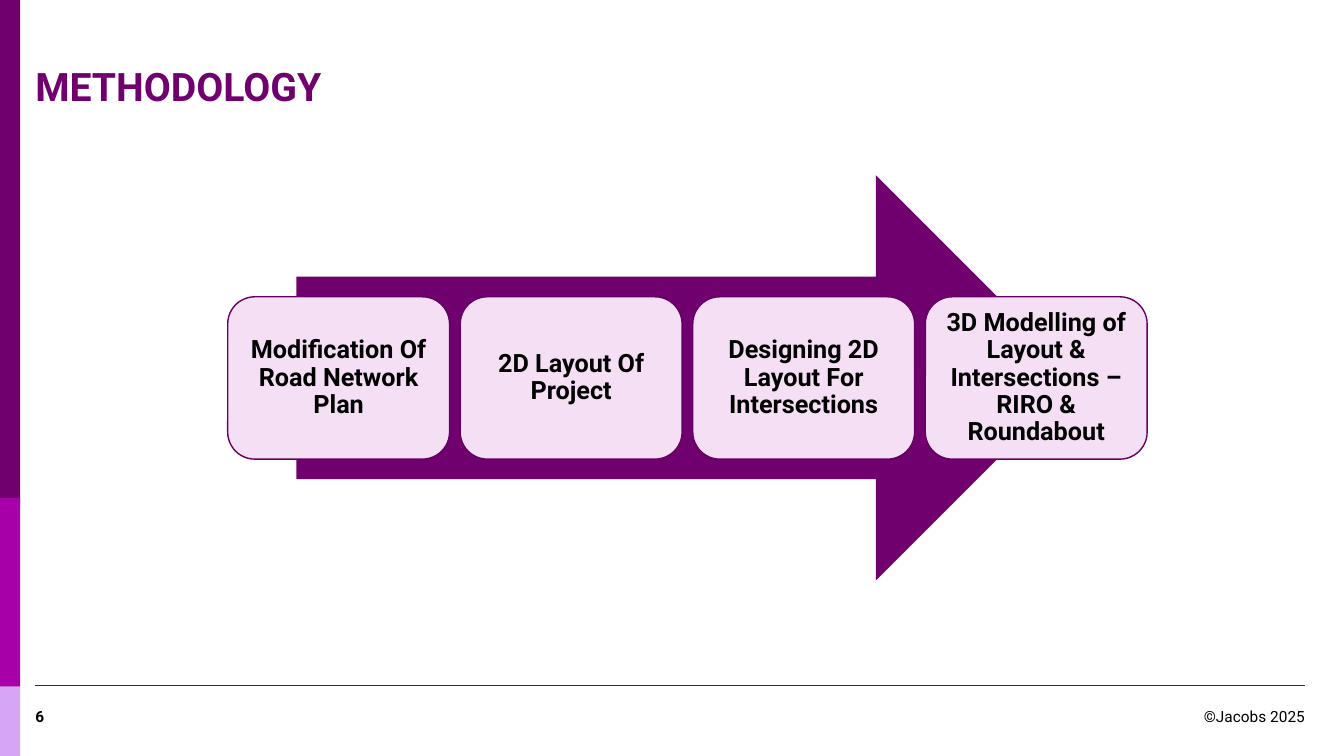
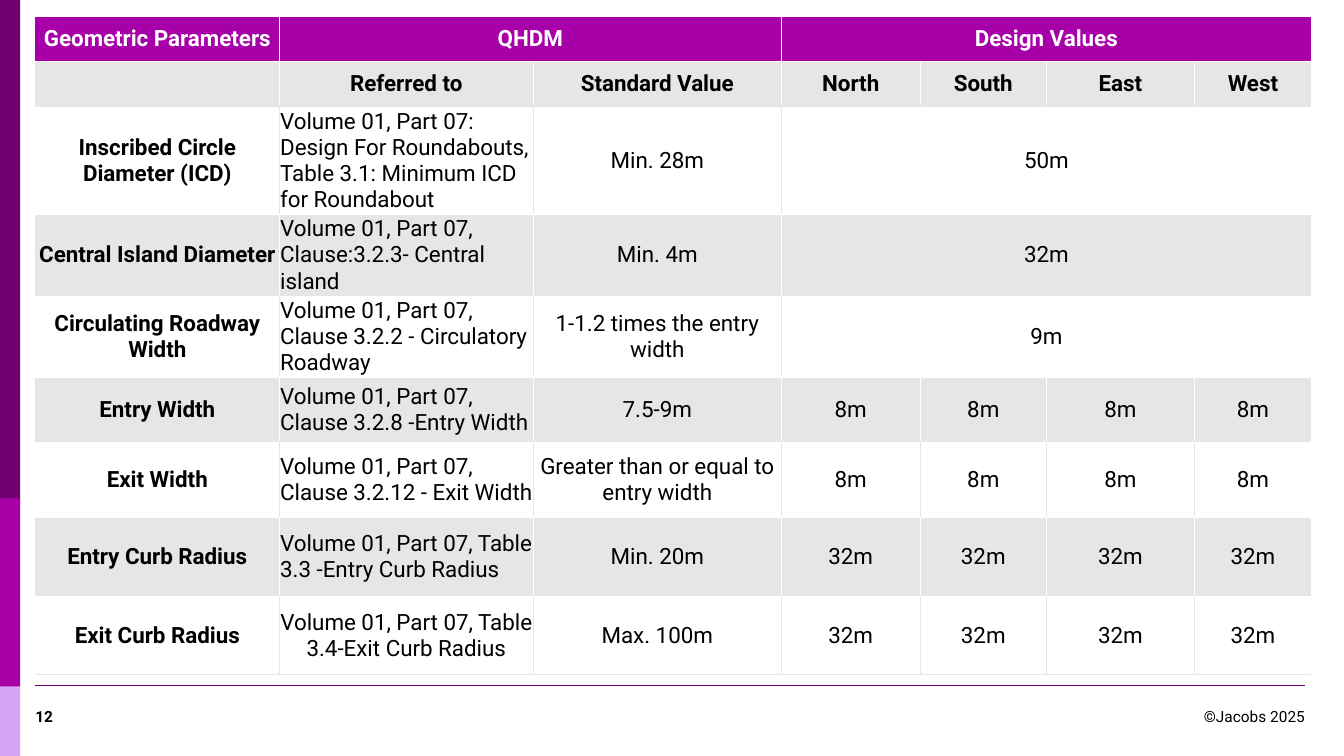
from dataclasses import dataclass

from lxml.etree import SubElement
from pptx import Presentation
from pptx.dml.color import RGBColor
from pptx.enum.shapes import MSO_CONNECTOR, MSO_SHAPE
from pptx.enum.text import MSO_ANCHOR, PP_ALIGN
from pptx.oxml.ns import qn
from pptx.util import Cm, Pt


@dataclass(frozen=True)
class Theme:
    font: str = "Roboto"
    plum: str = "6F006E"
    magenta: str = "A800A8"
    lilac: str = "D7A5F5"
    blush: str = "F5DFF5"
    outline: str = "650064"
    grey: str = "E6E6E6"
    white: str = "FFFFFF"
    black: str = "000000"
    title_size: int = 28
    step_size: int = 18
    table_size: int = 16
    footer_size: int = 11


THEME = Theme()
LEFT, CONTENT_WIDTH = 0.89, 32

STEPS = [
    "Modification Of Road Network Plan",
    "2D Layout Of Project",
    "Designing 2D Layout For Intersections",
    "3D Modelling of Layout & Intersections – RIRO & Roundabout",
]

# None continues the cell on its left
PARAMETERS = [
    ["Geometric Parameters", "QHDM", None, "Design Values", None, None, None],
    ["", "Referred to", "Standard Value", "North", "South", "East", "West"],
    ["Inscribed Circle Diameter (ICD)",
     "Volume 01, Part 07: Design For Roundabouts, Table 3.1: Minimum ICD for Roundabout",
     "Min. 28m", "50m", None, None, None],
    ["Central Island Diameter", "Volume 01, Part 07, Clause:3.2.3- Central island",
     "Min. 4m", "32m", None, None, None],
    ["Circulating Roadway Width", "Volume 01, Part 07, Clause 3.2.2 - Circulatory Roadway",
     "1-1.2 times the entry width", "9m", None, None, None],
    ["Entry Width", "Volume 01, Part 07, Clause 3.2.8 -Entry Width",
     "7.5-9m"] + ["8m"] * 4,
    ["Exit Width", "Volume 01, Part 07, Clause 3.2.12 - Exit Width",
     "Greater than or equal to entry width"] + ["8m"] * 4,
    ["Entry Curb Radius", "Volume 01, Part 07, Table 3.3 -Entry Curb Radius",
     "Min. 20m"] + ["32m"] * 4,
    ["Exit Curb Radius", "Volume 01, Part 07, Table 3.4-Exit Curb Radius",
     "Max. 100m"] + ["32m"] * 4,
]
COLUMN_WIDTHS = [6.15, 6.4, 6.25, 3.5, 3.18, 3.73, 2.95]
ROW_HEIGHTS = [1.14, 1.12, 2.69, 1.98, 1.98, 1.63, 1.9, 1.98, 1.98]


def rgb(color):
    return RGBColor.from_string(color)


def write(frame, text, size, color=THEME.black, bold=False, align=PP_ALIGN.LEFT,
          anchor=MSO_ANCHOR.MIDDLE, inset=0, line_spacing=None):
    frame.word_wrap = True
    frame.vertical_anchor = anchor
    frame.margin_left = frame.margin_right = Cm(inset)
    frame.margin_top = frame.margin_bottom = Cm(inset)
    style_paragraph(frame, text, size, color, bold, align, line_spacing)


def style_paragraph(frame, text, size, color, bold, align, line_spacing=None):
    frame.text = text
    paragraph = frame.paragraphs[0]
    paragraph.alignment = align
    if line_spacing:
        paragraph.line_spacing = line_spacing
    font = paragraph.font
    font.name, font.size, font.bold = THEME.font, Pt(size), bold
    font.color.rgb = rgb(color)


def add_block(slide, preset, left, top, width, height, fill, line=None):
    block = slide.shapes.add_shape(preset, Cm(left), Cm(top), Cm(width), Cm(height))
    block.shadow.inherit = False
    block.fill.solid()
    block.fill.fore_color.rgb = rgb(fill)
    if line:
        block.line.color.rgb = rgb(line)
        block.line.width = Pt(1)
    else:
        block.line.fill.background()
    return block


def add_footer_text(slide, left, width, text, **style):
    footer = slide.shapes.add_textbox(Cm(left), Cm(17.53), Cm(width), Cm(0.76))
    write(footer.text_frame, text, THEME.footer_size, anchor=MSO_ANCHOR.BOTTOM, **style)


def add_frame(slide, number):
    """Side band, footer rule, page number and copyright."""
    for top, height, color in [(17.25, 1.8, THEME.lilac), (0, 12.7, THEME.plum),
                               (12.55, 4.75, THEME.magenta)]:
        add_block(slide, MSO_SHAPE.RECTANGLE, 0, top, 0.51, height, color)
    rule = slide.shapes.add_connector(MSO_CONNECTOR.STRAIGHT, Cm(LEFT), Cm(17.27),
                                      Cm(LEFT + CONTENT_WIDTH), Cm(17.27))
    rule.line.color.rgb = rgb(THEME.plum)
    rule.line.width = Pt(0.5)
    SubElement(rule.line._get_or_add_ln().getparent(), qn("a:effectLst"))
    add_footer_text(slide, LEFT, 2.16, str(number), bold=True)
    add_footer_text(slide, 25.78, 7.11, "©Jacobs 2025", align=PP_ALIGN.RIGHT)


def set_title(slide, text):
    title = slide.shapes.title
    title.left, title.top = Cm(LEFT), Cm(1.35)
    title.width, title.height = Cm(CONTENT_WIDTH), Cm(1.78)
    write(title.text_frame, text, THEME.title_size, THEME.plum, bold=True, line_spacing=0.9)


def add_process(slide, steps):
    add_block(slide, MSO_SHAPE.RIGHT_ARROW, 7.47, 4.42, 19.71, 10.21, THEME.plum)
    step_width, gap = 5.59, 0.27
    for index, step in enumerate(steps):
        box = add_block(slide, MSO_SHAPE.ROUNDED_RECTANGLE,
                        5.74 + index * (step_width + gap), 7.48, step_width, 4.09,
                        THEME.blush, THEME.outline)
        write(box.text_frame, step, THEME.step_size, bold=True,
              align=PP_ALIGN.CENTER, inset=0.18, line_spacing=0.9)


def set_borders(cell, left, right, top, bottom):
    """Draw 1 pt cell borders; None leaves a side open."""
    properties = cell._tc.get_or_add_tcPr()
    for side, color in [("L", left), ("R", right), ("T", top), ("B", bottom)]:
        border = SubElement(properties, qn(f"a:ln{side}"), w=str(Pt(1) if color else 0))
        if color:
            fill = SubElement(border, qn("a:solidFill"))
            SubElement(fill, qn("a:srgbClr"), val=color)
        else:
            SubElement(border, qn("a:noFill"))


def format_cell(cell, text, row, column, last_column):
    header, reference = row == 0, column == 1
    # Header, then grey and white rows in turn
    if header:
        fill, edge, bottom = THEME.magenta, THEME.white, THEME.white
    elif row % 2:
        fill, edge, bottom = THEME.grey, THEME.white, THEME.grey
    else:
        fill, edge, bottom = THEME.white, THEME.grey, THEME.grey
    set_borders(cell, edge if column else None, None if last_column else edge, edge, bottom)
    cell.fill.solid()
    cell.fill.fore_color.rgb = rgb(fill)
    cell.vertical_anchor = MSO_ANCHOR.MIDDLE
    cell.margin_left = cell.margin_right = cell.margin_top = Cm(0.02)
    cell.margin_bottom = 0
    left_aligned = reference and 1 < row < len(PARAMETERS) - 1
    style_paragraph(cell.text_frame, text, THEME.table_size,
                    THEME.white if header else THEME.black,
                    bold=row < 2 or column == 0,
                    align=PP_ALIGN.LEFT if left_aligned else PP_ALIGN.CENTER)


def add_parameter_table(slide, rows):
    frame = slide.shapes.add_table(len(rows), len(COLUMN_WIDTHS), Cm(LEFT), Cm(0.41),
                                   Cm(sum(COLUMN_WIDTHS)), Cm(sum(ROW_HEIGHTS)))
    table = frame.table
    table.first_row = table.horz_banding = False
    for column, width in zip(table.columns, COLUMN_WIDTHS):
        column.width = Cm(width)
    for row, height in zip(table.rows, ROW_HEIGHTS):
        row.height = Cm(height)
    for r, values in enumerate(rows):
        for c, text in enumerate(values):
            if text is None:
                continue
            end = c
            while end + 1 < len(values) and values[end + 1] is None:
                end += 1
            if end > c:
                table.cell(r, c).merge(table.cell(r, end))
            for k in range(c, end + 1):
                format_cell(table.cell(r, k), text if k == c else "", r, k,
                            end == len(values) - 1)


def main():
    presentation = Presentation()
    presentation.slide_width, presentation.slide_height = Cm(33.87), Cm(19.05)
    title_only, blank = presentation.slide_layouts[5], presentation.slide_layouts[6]

    # Methodology
    methodology = presentation.slides.add_slide(title_only)
    add_frame(methodology, 6)
    set_title(methodology, "METHODOLOGY")
    add_process(methodology, STEPS)

    # Geometric parameters
    parameters = presentation.slides.add_slide(blank)
    add_frame(parameters, 12)
    add_parameter_table(parameters, PARAMETERS)

    presentation.save("out.pptx")


if __name__ == "__main__":
    main()
